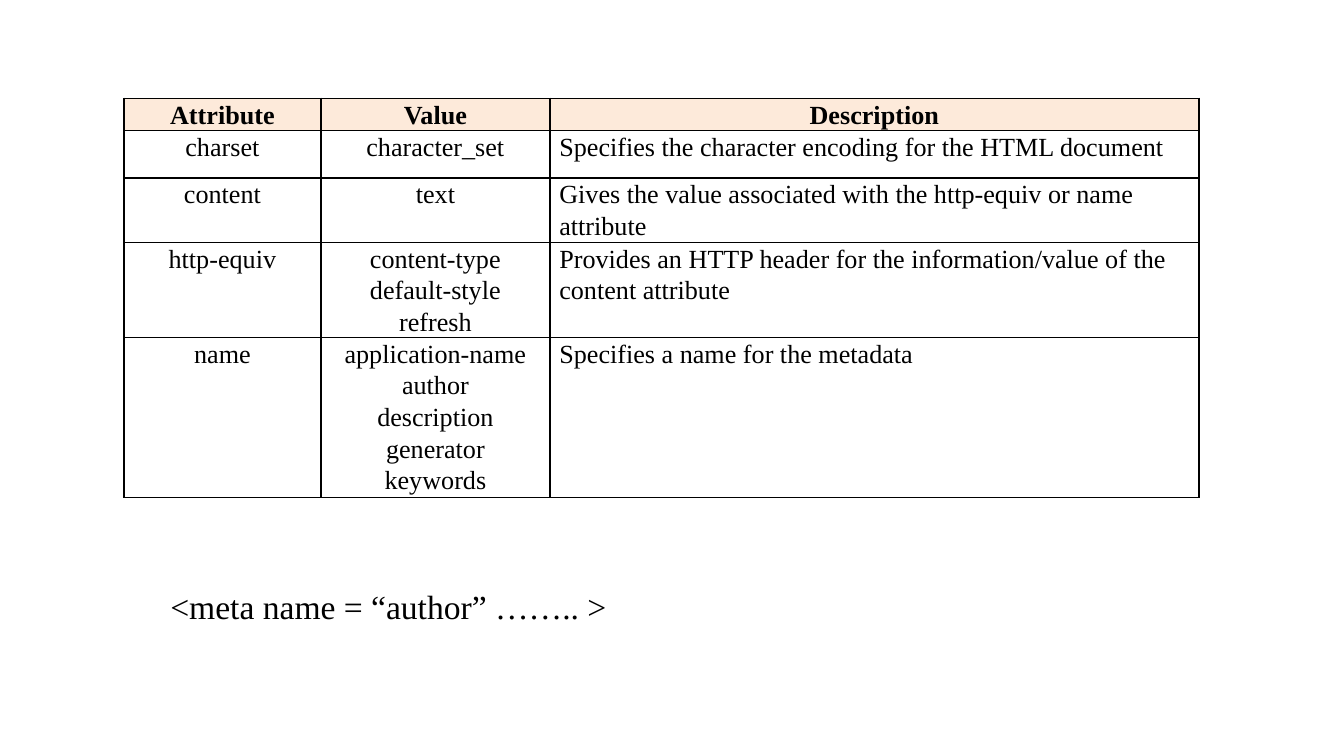
from lxml.etree import SubElement
from pptx import Presentation
from pptx.dml.color import RGBColor
from pptx.enum.text import MSO_AUTO_SIZE, PP_ALIGN
from pptx.oxml.ns import qn
from pptx.util import Cm, Pt

# Content
HEADINGS = ("Attribute", "Value", "Description")
ATTRIBUTES = [
    ("charset", ["character_set"],
     "Specifies the character encoding for the HTML document"),
    ("content", ["text"],
     "Gives the value associated with the http-equiv or name attribute"),
    ("http-equiv", ["content-type", "default-style", "refresh"],
     "Provides an HTTP header for the information/value of the content attribute"),
    ("name", ["application-name", "author", "description", "generator", "keywords"],
     "Specifies a name for the metadata"),
]
EXAMPLE = "<meta name = “author” …….. >"

# Layout in centimetres
COLUMN_WIDTHS = (3.73, 4.32, 12.27)
ROW_HEIGHTS = (0.61, 0.89, 1.22, 1.8, 3.02)
FONT = "Times New Roman"
BLACK = "000000"
HEADER_FILL = "FDEADA"


def color(value):
    return RGBColor.from_string(value)


def write(para, lines, size=14, bold=False, align=PP_ALIGN.LEFT):
    para.alignment = align
    for index, line in enumerate(lines):
        if index:
            para.add_line_break()
        span = para.add_run()
        span.text = line
        span.font.name = FONT
        span.font.size = Pt(size)
        span.font.bold = bold
        span.font.color.rgb = color(BLACK)


def add_borders(cell, width=1):
    properties = cell._tc.get_or_add_tcPr()
    for side in ("a:lnL", "a:lnR", "a:lnT", "a:lnB"):
        line = SubElement(properties, qn(side), w=str(Pt(width)))
        fill = SubElement(line, qn("a:solidFill"))
        SubElement(fill, qn("a:srgbClr"), val=BLACK)


def fill_cell(cell, lines, header, align):
    cell.margin_left = cell.margin_right = Cm(0.18)
    cell.margin_top = cell.margin_bottom = 0
    add_borders(cell)
    if header:
        cell.fill.solid()
        cell.fill.fore_color.rgb = color(HEADER_FILL)
    else:
        cell.fill.background()
    para = cell.text_frame.paragraphs[0]
    para.line_spacing = Pt(16.9)
    para.space_before = para.space_after = Pt(12)
    write(para, lines, bold=header, align=align)


deck = Presentation()
deck.slide_width, deck.slide_height = Cm(25.4), Cm(14.29)
page = deck.slides.add_slide(deck.slide_layouts[6])

# Attribute table
rows = [HEADINGS] + ATTRIBUTES
table = page.shapes.add_table(
    len(rows), len(HEADINGS), Cm(2.34), Cm(1.86),
    Cm(sum(COLUMN_WIDTHS)), Cm(sum(ROW_HEIGHTS))).table
table.first_row = table.horz_banding = False
for column, width in zip(table.columns, COLUMN_WIDTHS):
    column.width = Cm(width)
for row, height in zip(table.rows, ROW_HEIGHTS):
    row.height = Cm(height)
for r, values in enumerate(rows):
    for c, value in enumerate(values):
        header = r == 0
        lines = [value] if isinstance(value, str) else value
        align = PP_ALIGN.CENTER if header or c < 2 else PP_ALIGN.LEFT
        fill_cell(table.cell(r, c), lines, header, align)

# Example tag below the table
box = page.shapes.add_textbox(Cm(2.97), Cm(10.95), Cm(8.84), Cm(1.02))
box.text_frame.word_wrap = False
box.text_frame.auto_size = MSO_AUTO_SIZE.SHAPE_TO_FIT_TEXT
write(box.text_frame.paragraphs[0], [EXAMPLE], size=18)

deck.save("out.pptx")
